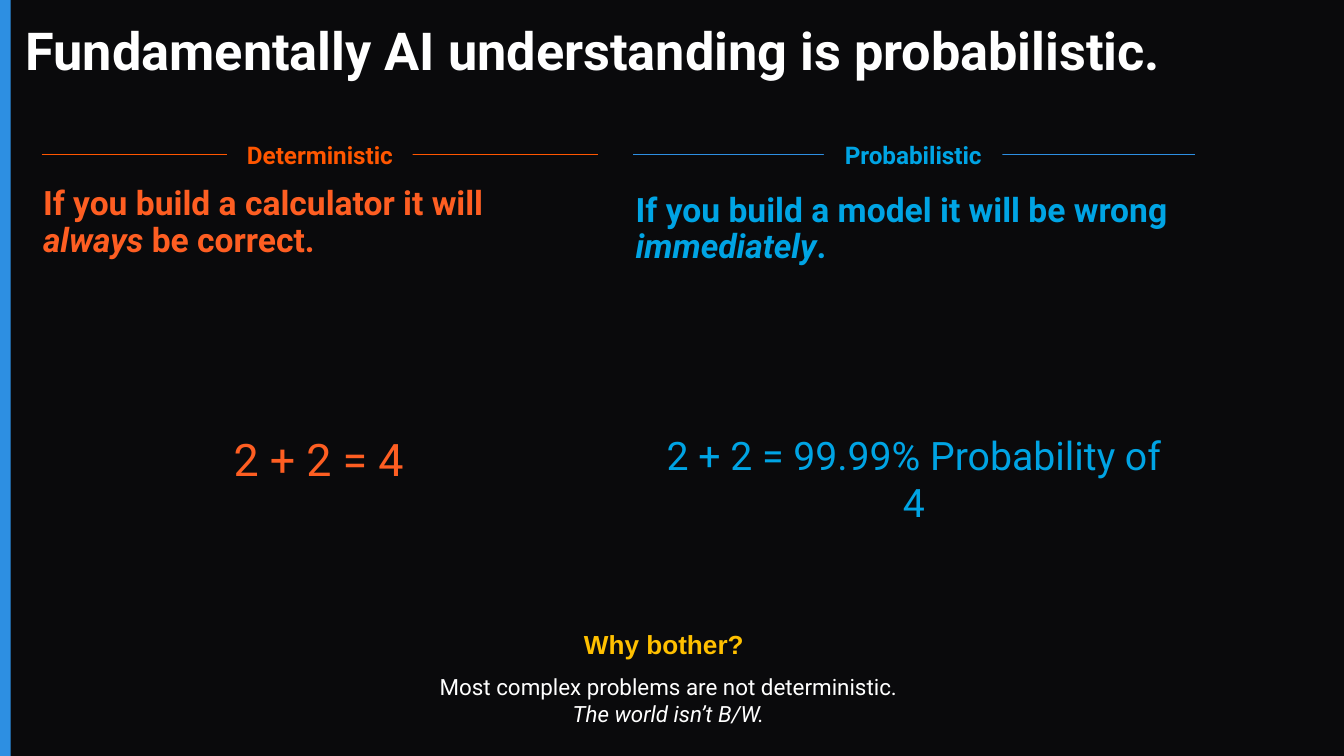
from lxml import etree
from pptx import Presentation
from pptx.dml.color import RGBColor
from pptx.enum import shapes, text
from pptx.oxml.ns import qn
from pptx.util import Inches, Pt

COLOURS = {
    "background": "0A0A0C", "bar": "2D8FE2", "white": "FFFFFF",
    "orange": "FE5E22", "orange_heading": "FF5600", "blue": "00A4E4",
    "yellow": "FFC000",
}
SLIDE_WIDTH = 10
SLIDE_HEIGHT = SLIDE_WIDTH * 9 / 16
RULE_Y = 1.15
BODY_INSETS = (0.07, 0.04)
PLAIN_INSETS = (0.1, 0.1)

TITLE = "Fundamentally AI understanding is probabilistic."
# Each paragraph is a list of (text, italic) runs.
COLUMNS = [
    {
        "heading": "Deterministic", "heading_colour": "orange_heading",
        "rule_colour": "orange_heading", "colour": "orange",
        "rule": (0.31, 4.45), "label": (1.69, 1.38), "label_insets": (0.05, 0.1),
        "claim": [("If you build a calculator it will ", False),
                  ("always", True), (" be correct.", False)],
        "claim_box": (0.25, 1.35, 4.18, 1.85),
        "sum": "2 + 2 = 4", "sum_size": 24, "sum_box": (0.31, 3.11, 4.12, 0.61),
    },
    {
        "heading": "Probabilistic", "heading_colour": "blue",
        "rule_colour": "bar", "colour": "blue",
        "rule": (4.71, 8.89), "label": (6.13, 1.33), "label_insets": PLAIN_INSETS,
        "claim": [("If you build a model it will be wrong ", False),
                  ("immediately", True), (".", False)],
        "claim_box": (4.66, 1.4, 4.18, 1.85),
        "sum": "2 + 2 = 99.99% Probability of 4", "sum_size": 21,
        "sum_box": (4.76, 3.11, 4.08, 0.56),
    },
]
QUESTION = "Why bother?"
ANSWER = [
    [("Most complex problems are not deterministic.", False)],
    [("The world isn’t B/W.", True)],
]


def rgb(name):
    return RGBColor.from_string(COLOURS[name])


def write(shape, paragraphs, *, size, colour, font="Roboto", bold=False,
          centred=True, middle=False, insets=PLAIN_INSETS, line_spacing=None):
    """Fill a shape with one string or a list of paragraphs made of runs."""
    if isinstance(paragraphs, str):
        paragraphs = [[(paragraphs, False)]]
    frame = shape.text_frame
    frame.word_wrap = True
    frame.auto_size = text.MSO_AUTO_SIZE.NONE
    frame.vertical_anchor = text.MSO_ANCHOR.MIDDLE if middle else text.MSO_ANCHOR.TOP
    frame.margin_left = frame.margin_right = Inches(insets[0])
    frame.margin_top = frame.margin_bottom = Inches(insets[1])
    for index, runs in enumerate(paragraphs):
        paragraph = frame.add_paragraph() if index else frame.paragraphs[0]
        paragraph.alignment = text.PP_ALIGN.CENTER if centred else text.PP_ALIGN.LEFT
        if line_spacing:
            paragraph.line_spacing = line_spacing
        for content, italic in runs:
            run = paragraph.add_run()
            run.text = content
            run.font.name = font
            run.font.size = Pt(size)
            run.font.bold = bold
            run.font.italic = italic
            run.font.color.rgb = rgb(colour)


def add_text(slide, box, paragraphs, **style):
    write(slide.shapes.add_textbox(*map(Inches, box)), paragraphs, **style)


def add_rectangle(slide, box, colour):
    rectangle = slide.shapes.add_shape(
        shapes.MSO_SHAPE.RECTANGLE, *map(Inches, box))
    rectangle.shadow.inherit = False
    rectangle.fill.solid()
    rectangle.fill.fore_color.rgb = rgb(colour)
    rectangle.line.fill.background()
    return rectangle


def add_rule(slide, start, end, colour):
    rule = slide.shapes.add_connector(
        shapes.MSO_CONNECTOR.STRAIGHT,
        *map(Inches, (start, RULE_Y, end, RULE_Y)))
    rule.line.color.rgb = rgb(colour)
    rule.line.width = Pt(0.75)
    etree.SubElement(rule._element.spPr, qn("a:effectLst"))


def add_column(slide, column):
    add_text(slide, column["claim_box"], [column["claim"]], size=18, bold=True,
             colour=column["colour"], centred=False, insets=BODY_INSETS,
             line_spacing=0.9)
    add_rule(slide, *column["rule"], column["rule_colour"])
    left, width = column["label"]
    label = add_rectangle(slide, (left, 1.06, width, 0.19), "background")
    write(label, column["heading"], size=13, bold=True, middle=True,
          colour=column["heading_colour"], insets=column["label_insets"])
    add_text(slide, column["sum_box"], column["sum"], size=column["sum_size"],
             colour=column["colour"])


def main():
    presentation = Presentation()
    presentation.slide_width = Inches(SLIDE_WIDTH)
    presentation.slide_height = Inches(SLIDE_HEIGHT)
    slide = presentation.slides.add_slide(presentation.slide_layouts[5])
    slide.background.fill.solid()
    slide.background.fill.fore_color.rgb = rgb("background")

    add_rectangle(slide, (0, 0, 0.08, SLIDE_HEIGHT), "bar")
    title = slide.shapes.title
    title.left, title.top, title.width, title.height = map(
        Inches, (0.12, 0.07, 9.14, 0.65))
    write(title, TITLE, size=28, colour="white", bold=True, centred=False,
          middle=True, insets=BODY_INSETS, line_spacing=0.9)
    for column in COLUMNS:
        add_column(slide, column)
    add_text(slide, (2.69, 4.91, 4.57, 0.56), ANSWER, size=12, colour="white")
    add_text(slide, (2.72, 4.64, 4.44, 0.3), QUESTION, size=14, colour="yellow",
             font="Arial", bold=True, middle=True)
    presentation.save("out.pptx")


if __name__ == "__main__":
    main()
